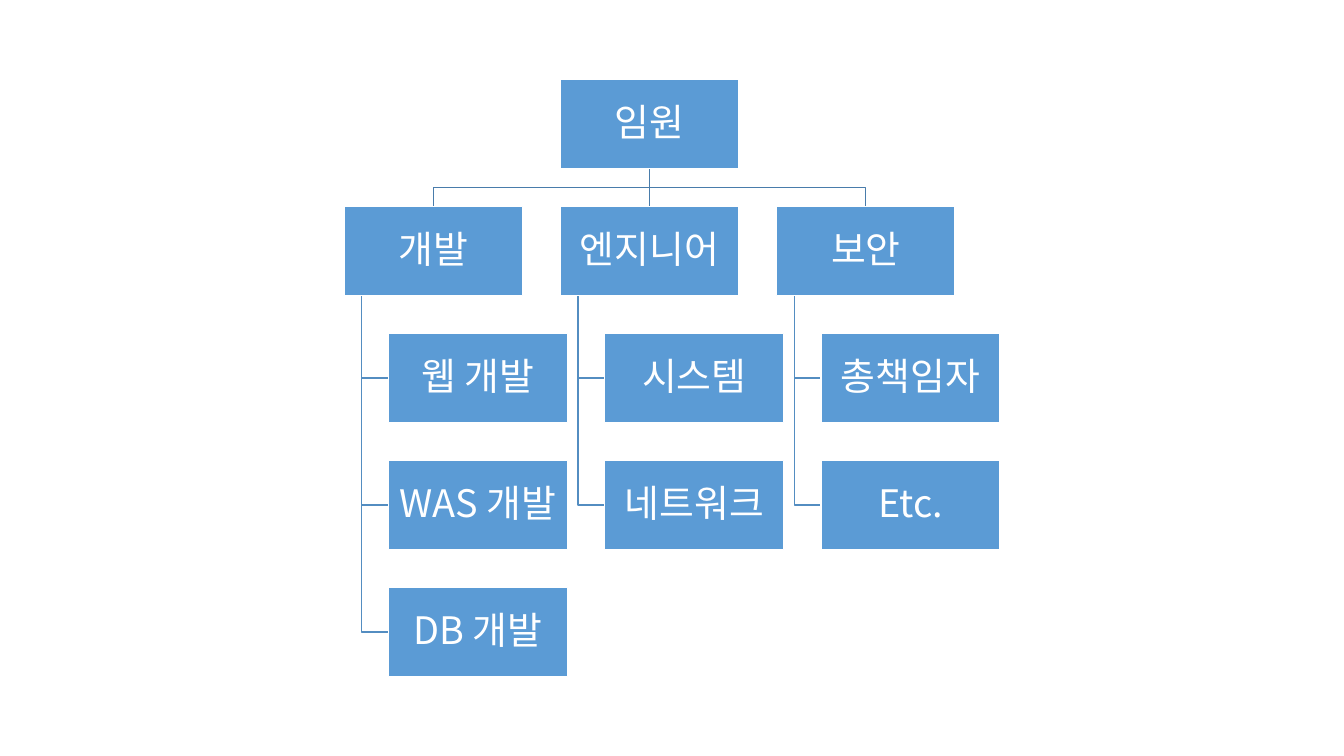
from dataclasses import dataclass
from lxml.etree import SubElement
from pptx import Presentation
from pptx.dml.color import RGBColor as RGB
from pptx.enum.shapes import MSO_CONNECTOR as Connector, MSO_SHAPE as Preset
from pptx.enum.text import MSO_ANCHOR as Anchor, PP_ALIGN as Align
from pptx.oxml.ns import qn
from pptx.util import Pt


@dataclass(frozen=True)
class Theme:
    box: RGB = RGB(0x5B, 0x9B, 0xD5)
    white: RGB = RGB(0xFF, 0xFF, 0xFF)
    upper_link: RGB = RGB(0x49, 0x7C, 0xAB)
    lower_link: RGB = RGB(0x53, 0x8D, 0xC1)
    font: str = "Noto Sans CJK KR"
    size: float = 27
    stroke: float = 1


THEME = Theme()
EXECUTIVE = "임원"
DEPARTMENTS = {
    "개발": ["웹 개발", "WAS 개발", "DB 개발"],
    "엔지니어": ["시스템", "네트워크"],
    "보안": ["총책임자", "Etc."],
}
LEFT, TOP = 245.6, 56.7
BOX_W, BOX_H = 127.7, 63.9
COLUMN_STEP, ROW_STEP = 154.5, 90.7
TEAM_INDENT, TRUNK_INDENT = 31.9, 12.8


def column_x(column):
    return LEFT + column * COLUMN_STEP


def row_y(row):
    return TOP + row * ROW_STEP


def set_stroke(line, color):
    line.color.rgb = color
    line.width = Pt(THEME.stroke)


def add_elbow(slide, corners, color):
    points = [(Pt(x), Pt(y)) for x, y in corners]
    builder = slide.shapes.build_freeform(*points[0])
    builder.add_line_segments(points[1:], close=False)
    elbow = builder.convert_to_shape()
    elbow.shadow.inherit = False
    elbow.fill.background()
    set_stroke(elbow.line, color)


def add_straight(slide, x, top, bottom, color):
    link = slide.shapes.add_connector(
        Connector.STRAIGHT, Pt(x), Pt(top), Pt(x), Pt(bottom))
    set_stroke(link.line, color)
    SubElement(link._element.spPr, qn("a:effectLst"))


def add_box(slide, label, x, y):
    box = slide.shapes.add_shape(
        Preset.RECTANGLE, Pt(x), Pt(y), Pt(BOX_W), Pt(BOX_H))
    box.shadow.inherit = False
    box.fill.solid()
    box.fill.fore_color.rgb = THEME.box
    set_stroke(box.line, THEME.white)
    frame = box.text_frame
    frame.text = label
    frame.word_wrap = True
    frame.vertical_anchor = Anchor.MIDDLE
    frame.margin_left = frame.margin_right = Pt(1.4)
    frame.margin_top = frame.margin_bottom = Pt(1.4)
    paragraph = frame.paragraphs[0]
    paragraph.alignment = Align.CENTER
    paragraph.line_spacing = 0.9
    run = paragraph.runs[0]
    run.font.size = Pt(THEME.size)
    run.font.color.rgb = THEME.white
    run.font.name = THEME.font
    SubElement(run._r.get_or_add_rPr(), qn("a:ea"), typeface=THEME.font)


def add_department_link(slide, column):
    center = column_x(1) + BOX_W / 2
    target = column_x(column) + BOX_W / 2
    start, end = row_y(0) + BOX_H, row_y(1)
    if target == center:
        add_straight(slide, center, start, end, THEME.upper_link)
        return
    middle = (start + end) / 2
    add_elbow(slide, [(center, start), (center, middle),
                      (target, middle), (target, end)], THEME.upper_link)


def add_team_link(slide, column, row):
    trunk = column_x(column) + TRUNK_INDENT
    level = row_y(row) + BOX_H / 2
    add_elbow(slide, [(trunk, row_y(1) + BOX_H), (trunk, level),
                      (column_x(column) + TEAM_INDENT, level)],
              THEME.lower_link)


def main():
    deck = Presentation()
    deck.slide_width, deck.slide_height = Pt(960), Pt(540)
    slide = deck.slides.add_slide(deck.slide_layouts[6])
    for column, teams in enumerate(DEPARTMENTS.values()):
        add_department_link(slide, column)
        for row in range(2, 2 + len(teams)):
            add_team_link(slide, column, row)
    add_box(slide, EXECUTIVE, column_x(1), row_y(0))
    for column, (department, teams) in enumerate(DEPARTMENTS.items()):
        add_box(slide, department, column_x(column), row_y(1))
        for row, team in enumerate(teams, start=2):
            add_box(slide, team, column_x(column) + TEAM_INDENT, row_y(row))
    deck.save("out.pptx")


main()
